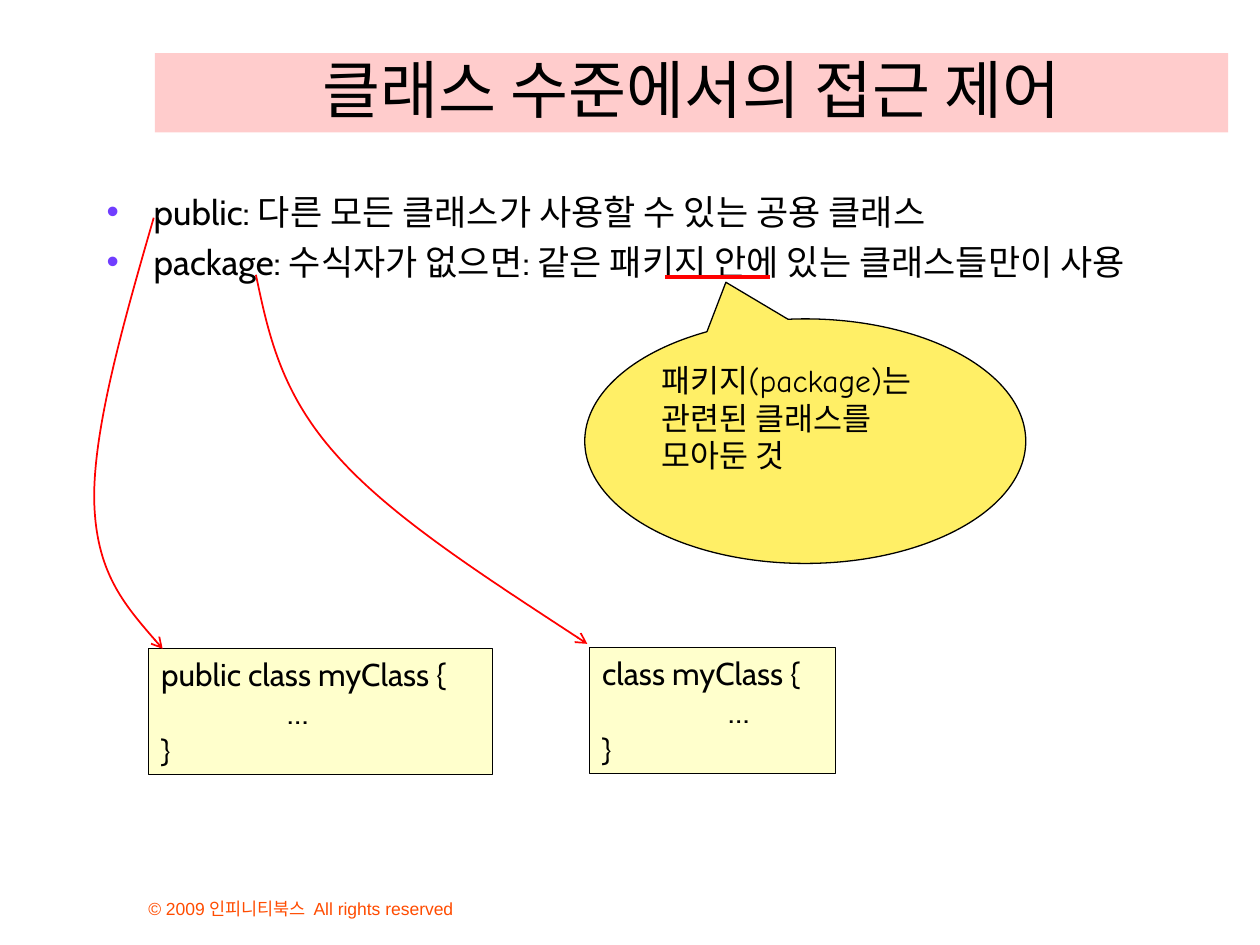
import lxml.etree
import pptx
import pptx.dml.color
import pptx.enum.shapes
import pptx.enum.text
import pptx.oxml.ns
import pptx.util

Cm = pptx.util.Cm
Pt = pptx.util.Pt
qn = pptx.oxml.ns.qn
SHAPE = pptx.enum.shapes.MSO_SHAPE
ALIGN = pptx.enum.text.PP_ALIGN
ANCHOR = pptx.enum.text.MSO_ANCHOR


def color(value):
    """Return a colour from a hex string."""
    return pptx.dml.color.RGBColor.from_string(value)


def sub(parent, tag, **attrs):
    """Append a DrawingML element to its parent."""
    return lxml.etree.SubElement(parent, qn(tag), attrs)


def add_bullet(p, hex_color):
    """Give a paragraph a coloured bullet with a hanging indent."""
    pPr = p._p.get_or_add_pPr()
    pPr.set("marL", str(Cm(0.95)))
    pPr.set("indent", str(-Cm(0.95)))
    sub(sub(pPr, "a:buClr"), "a:srgbClr", val=hex_color)
    sub(pPr, "a:buFont", typeface="Arial")
    sub(pPr, "a:buChar", char="•")


def add_tab(p, position):
    """Set a left tab stop in a paragraph."""
    tabs = sub(p._p.get_or_add_pPr(), "a:tabLst")
    sub(tabs, "a:tab", pos=str(position), algn="l")


def write(s, text, size, font="Cabin", ink="000000", align=ALIGN.LEFT,
          anchor=ANCHOR.TOP, bullet=None, tab=None, gap=0):
    """Write lines of text into a shape with one format."""
    tf = s.text_frame
    tf.word_wrap = True
    tf.auto_size = pptx.enum.text.MSO_AUTO_SIZE.NONE
    tf.vertical_anchor = anchor
    for i, line in enumerate(text.split("\n")):
        p = tf.add_paragraph() if i else tf.paragraphs[0]
        if bullet:
            add_bullet(p, bullet)
        if tab:
            add_tab(p, tab)
        p.alignment = align
        p.space_before = Pt(gap if i else 0)
        r = p.add_run()
        r.text = line
        r.font.name = font
        r.font.size = Pt(size)
        r.font.color.rgb = color(ink)


def add_title(slide, text, x, y, w, h, fill):
    """Place, fill and write the title placeholder."""
    s = slide.shapes.title
    s.left, s.top, s.width, s.height = Cm(x), Cm(y), Cm(w), Cm(h)
    s.fill.solid()
    s.fill.fore_color.rgb = color(fill)
    write(s, text, 36, align=ALIGN.CENTER, anchor=ANCHOR.BOTTOM)


def add_text(slide, text, x, y, w, h, size, **fmt):
    """Add a text box."""
    s = slide.shapes.add_textbox(Cm(x), Cm(y), Cm(w), Cm(h))
    write(s, text, size, **fmt)


def add_box(slide, kind, text, x, y, w, h, fill, **fmt):
    """Add a filled, outlined shape with text."""
    s = slide.shapes.add_shape(kind, Cm(x), Cm(y), Cm(w), Cm(h))
    s.shadow.inherit = False
    s.fill.solid()
    s.fill.fore_color.rgb = color(fill)
    s.line.color.rgb = color("000000")
    s.line.width = Pt(0.75)
    write(s, text, 18, **fmt)
    return s


def add_underline(slide, x1, x2, y):
    """Add a horizontal red rule."""
    s = slide.shapes.add_connector(
        pptx.enum.shapes.MSO_CONNECTOR.STRAIGHT, Cm(x1), Cm(y), Cm(x2), Cm(y))
    s.line.color.rgb = color("FF0000")
    s.line.width = Pt(2.25)
    sub(s._element.spPr, "a:effectLst")


def add_curved_arrow(slide, points):
    """Add a red arrow along cubic curves, three points to a curve."""
    pts = [(Cm(x), Cm(y)) for x, y in points]
    builder = slide.shapes.build_freeform(*pts[0])
    builder.add_line_segments(pts[1:], close=False)
    s = builder.convert_to_shape()
    s.shadow.inherit = False
    s.fill.background()
    s.line.color.rgb = color("FF0000")
    s.line.width = Pt(1)
    spPr = s._element.spPr
    sub(spPr.find(qn("a:ln")), "a:tailEnd", type="arrow")
    outline = next(spPr.iter(qn("a:path")))
    segments = outline.findall(qn("a:lnTo"))
    for i in range(0, len(segments), 3):
        curve = sub(outline, "a:cubicBezTo")
        for segment in segments[i:i + 3]:
            curve.append(segment[0])
            outline.remove(segment)


def main():
    """Build the slide on class-level access control."""
    prs = pptx.Presentation()
    prs.slide_width, prs.slide_height = Cm(25.4), Cm(19.05)
    slide = prs.slides.add_slide(prs.slide_layouts[5])

    add_title(slide, "클래스 수준에서의 접근 제어", 3.12, 1.07, 21.64, 1.6, "FFCCCC")
    add_text(slide, "© 2009 인피니티북스  All rights reserved",
             2.74, 17.58, 9.73, 1.07, 10, font="Arial", ink="FF4C00",
             anchor=ANCHOR.BOTTOM)
    add_text(slide, "public: 다른 모든 클래스가 사용할 수 있는 공용 클래스\n"
             "package: 수식자가 없으면: 같은 패키지 안에 있는 클래스들만이 사용",
             1.9, 3.71, 22.81, 11.53, 20, bullet="703DFF", gap=5)

    callout = add_box(slide, SHAPE.OVAL_CALLOUT,
                      "패키지(package)는 관련된 클래스를 모아둔 것",
                      11.79, 6.43, 8.89, 4.93, "FFEF66", font="Comic Neue")
    callout.adjustments[0] = -0.18
    callout.adjustments[1] = -0.65
    add_underline(slide, 13.41, 15.52, 5.59)

    for head, x, y, w in (("public class myClass {", 3, 13.08, 6.93),
                          ("class myClass {", 11.89, 13.06, 4.95)):
        add_box(slide, SHAPE.RECTANGLE, head + "\n\t…\n}", x, y, w, 2.54,
                "FFFFCC", tab=Cm(2.54))

    add_curved_arrow(slide, [(3.1, 4.39), (2.49, 6.5), (1.88, 8.64), (1.9, 10.08),
                             (1.93, 11.53), (2.59, 12.29), (3.28, 13.08)])
    add_curved_arrow(slide, [(5.16, 5.54), (5.41, 6.73), (5.66, 7.92), (6.78, 9.17),
                             (7.87, 10.41), (9.86, 11.68), (11.84, 12.98)])
    prs.save("out.pptx")


if __name__ == "__main__":
    main()
